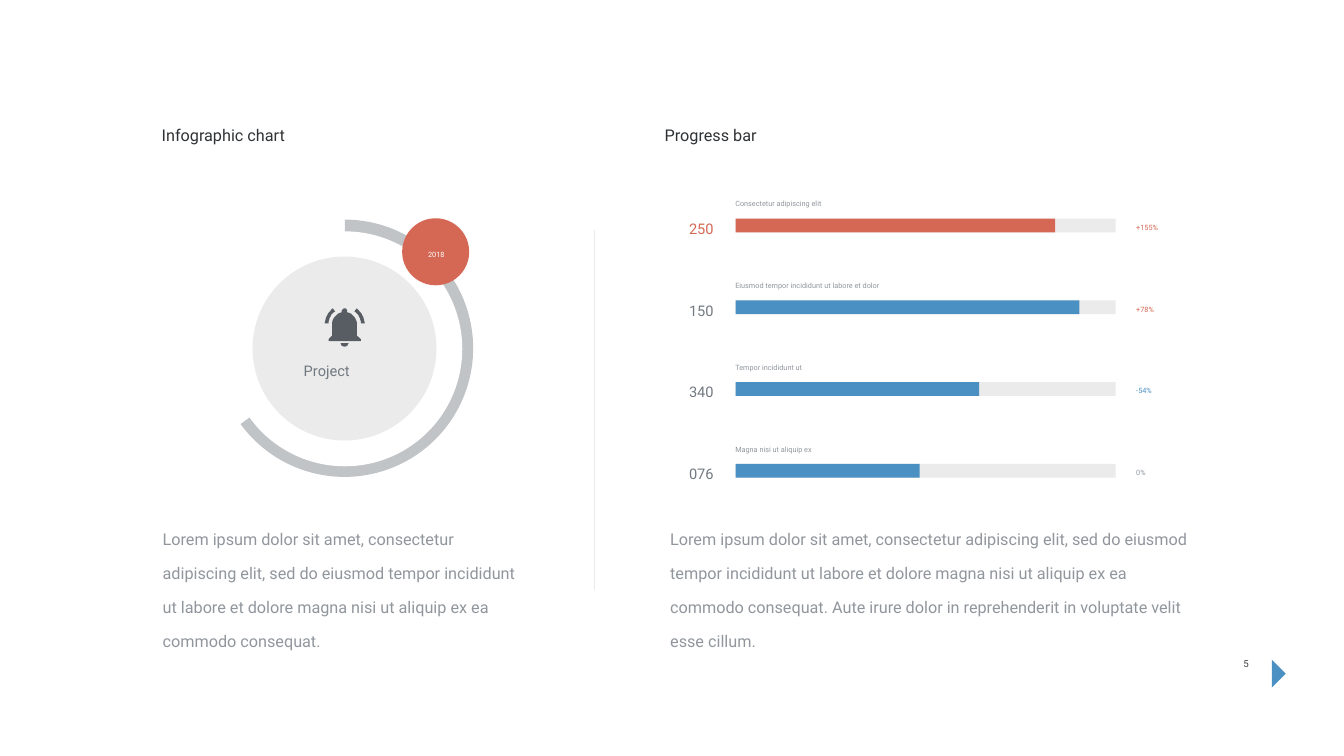
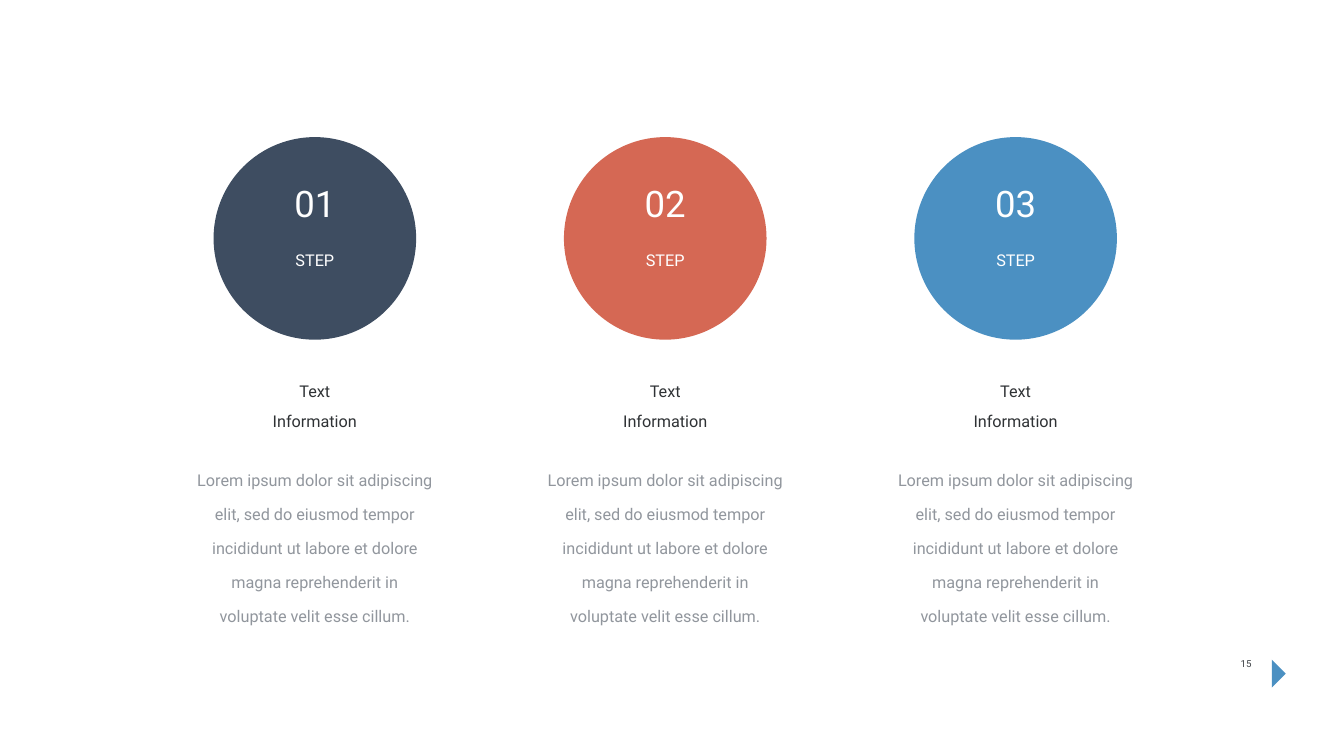
from dataclasses import dataclass

from lxml.etree import SubElement
from pptx import Presentation
from pptx.chart.data import CategoryChartData
from pptx.dml.color import RGBColor
from pptx.enum.chart import XL_CHART_TYPE
from pptx.enum.shapes import MSO_CONNECTOR, MSO_SHAPE
from pptx.enum.text import MSO_ANCHOR, MSO_AUTO_SIZE, PP_ALIGN
from pptx.oxml import parse_xml
from pptx.oxml.ns import nsdecls, qn
from pptx.util import Cm, Pt

FONT = "Roboto"
WHITE = RGBColor(0xFF, 0xFF, 0xFF)
INK = RGBColor(0x2F, 0x32, 0x35)
NUMBER_INK = RGBColor(0x3F, 0x43, 0x47)
GRAY = RGBColor(0x91, 0x96, 0x9D)
SLATE = RGBColor(0x71, 0x79, 0x81)
BELL_GRAY = RGBColor(0x58, 0x5D, 0x64)
RING = RGBColor(0xC1, 0xC4, 0xC7)
PALE = RGBColor(0xEB, 0xEB, 0xEB)
RED = RGBColor(0xD5, 0x68, 0x54)
BLUE = RGBColor(0x4B, 0x90, 0xC2)
NAVY = RGBColor(0x3E, 0x4D, 0x61)

BAR_LEFT, BAR_TOP, BAR_PITCH, TRACK_WIDTH, BAR_HEIGHT = 37.08, 11.02, 4.12, 19.15, 0.69
STEP_CENTER, STEP_PITCH, STEP_DIAMETER = 15.87, 17.66, 10.21


@dataclass(frozen=True)
class Box:
    left: float
    top: float
    width: float
    height: float

    def lengths(self) -> tuple:
        return Cm(self.left), Cm(self.top), Cm(self.width), Cm(self.height)


@dataclass(frozen=True)
class TextStyle:
    size: int
    color: RGBColor
    raised: int = 39
    spacing: float | None = None
    align: PP_ALIGN = PP_ALIGN.LEFT
    anchor: MSO_ANCHOR = MSO_ANCHOR.MIDDLE
    wrap: bool = True


@dataclass(frozen=True)
class Progress:
    value: str
    label: str
    change: str
    width: float
    value_color: RGBColor
    bar_color: RGBColor
    change_color: RGBColor


@dataclass(frozen=True)
class Step:
    number: str
    color: RGBColor


HEADING = TextStyle(40, INK, spacing=0.9, wrap=False)
STEP_HEADING = TextStyle(40, INK, spacing=0.9, align=PP_ALIGN.CENTER, wrap=False)
BODY = TextStyle(40, GRAY, 43, anchor=MSO_ANCHOR.TOP)
STEP_BODY = TextStyle(40, GRAY, 43, align=PP_ALIGN.CENTER, anchor=MSO_ANCHOR.TOP)
PAGE_NUMBER = TextStyle(24, NUMBER_INK, spacing=0.7, align=PP_ALIGN.CENTER, anchor=MSO_ANCHOR.TOP)
PROJECT = TextStyle(36, SLATE, 33, 0.7, wrap=False)
YEAR = TextStyle(18, WHITE, 67, 0.7, PP_ALIGN.CENTER)
STEP_NUMBER = TextStyle(90, WHITE, spacing=0.9, align=PP_ALIGN.CENTER)
STEP_WORD = TextStyle(40, WHITE, spacing=0.9, align=PP_ALIGN.CENTER)

BARS = [
    Progress("250", "Consectetur adipiscing elit", "+155%", 16.1, RED, RED, RED),
    Progress("150", "Eiusmod tempor incididunt ut labore et dolor", "+78%", 17.32, SLATE, BLUE, RED),
    Progress("340", "Tempor incididunt ut", "-54%", 12.27, SLATE, BLUE, BLUE),
    Progress("076", "Magna nisi ut aliquip ex", "0%", 9.27, SLATE, BLUE, GRAY),
]
STEPS = [Step("01", NAVY), Step("02", RED), Step("03", BLUE)]

LOREM = (
    "Lorem ipsum dolor sit amet, consectetur adipiscing elit, sed do eiusmod tempor "
    "incididunt ut labore et dolore magna nisi ut aliquip ex ea commodo consequat."
)
LOREM_MORE = " Aute irure dolor in reprehenderit in voluptate velit esse cillum."
STEP_LOREM = (
    "Lorem ipsum dolor sit adipiscing elit, sed do eiusmod tempor incididunt ut labore "
    "et dolore magna reprehenderit in voluptate velit esse cillum."
)

BELL_WIDTH = 80
WAVE = [(21, 6), (16, 0), (7, 8, 1, 19, 0, 30), (8, 30), (8, 20, 13, 11, 21, 6)]
BELL = [
    (64, 32), (64, 21, 57, 11, 45, 8), (45, 5), (45, 3, 43, 0, 40, 0),
    (37, 0, 34, 3, 34, 5), (34, 8), (23, 11, 15, 21, 15, 32), (15, 54),
    (8, 61), (8, 65), (72, 65), (72, 61), (64, 54),
]
CLAPPER = [(40, 76), (44, 76, 46, 73, 48, 69), (32, 69), (32, 73, 35, 76, 40, 76)]


def fill_text(sp, style: TextStyle, *lines: str) -> None:
    """Format a text shape and write one paragraph per line."""
    tf = sp.text_frame
    tf.word_wrap = style.wrap
    tf.auto_size = MSO_AUTO_SIZE.SHAPE_TO_FIT_TEXT
    tf.vertical_anchor = style.anchor
    tf.margin_left = tf.margin_top = tf.margin_right = tf.margin_bottom = Cm(0.15)
    for i, line in enumerate(lines):
        p = tf.add_paragraph() if i else tf.paragraphs[0]
        p.alignment = style.align
        p.space_before = Pt(0)
        if style.spacing:
            p.line_spacing = style.spacing
        r = p.add_run()
        r.text = line
        r.font.name = FONT
        r.font.size = Pt(style.size)
        r.font.color.rgb = style.color
        r._r.get_or_add_rPr().set("baseline", str(style.raised * 1000))


def add_text(s, box: Box, style: TextStyle, *lines: str) -> None:
    """Add a text box."""
    fill_text(s.shapes.add_textbox(*box.lengths()), style, *lines)


def paint(sp, color: RGBColor) -> None:
    """Give a shape a flat fill without outline or shadow."""
    sp.shadow.inherit = False
    sp.fill.solid()
    sp.fill.fore_color.rgb = color
    sp.line.fill.background()


def add_flat(s, kind: MSO_SHAPE, box: Box, color: RGBColor) -> None:
    """Add a flat preset shape."""
    paint(s.shapes.add_shape(kind, *box.lengths()), color)


def add_circle(s, left: float, top: float, diameter: float, color: RGBColor) -> None:
    """Add a flat circle."""
    add_flat(s, MSO_SHAPE.OVAL, Box(left, top, diameter, diameter), color)


def add_footer(s, number: str) -> None:
    """Add the page number and the arrow beside it."""
    builder = s.shapes.build_freeform(Cm(64.11), Cm(33.25))
    builder.add_line_segments([(Cm(64.8), Cm(33.95)), (Cm(64.11), Cm(34.65))], close=True)
    paint(builder.convert_to_shape(), BLUE)
    add_text(s, Box(61.52, 33.25, 2.57, 1.42), PAGE_NUMBER, number)


def flatten(outline: list[tuple], pieces: int = 8) -> list[tuple]:
    """Turn lines and cubic curves into a list of points."""
    points = [outline[0]]
    for part in outline[1:]:
        if len(part) == 2:
            points.append(part)
            continue
        x0, y0 = points[-1]
        x1, y1, x2, y2, x3, y3 = part
        for i in range(1, pieces + 1):
            t = i / pieces
            a, b, c, d = (1 - t) ** 3, 3 * t * (1 - t) ** 2, 3 * t * t * (1 - t), t ** 3
            points.append((a * x0 + b * x1 + c * x2 + d * x3, a * y0 + b * y1 + c * y2 + d * y3))
    return points


def add_bell(s) -> None:
    """Add the ringing bell icon."""
    wave = flatten(WAVE)
    mirrored = [(BELL_WIDTH - x, y) for x, y in wave]
    builder = s.shapes.build_freeform(*wave[0], scale=Cm(2.54) / 100)
    builder.add_line_segments(wave[1:], close=True)
    for contour in (mirrored, flatten(BELL), flatten(CLAPPER)):
        builder.move_to(*contour[0])
        builder.add_line_segments(contour[1:], close=True)
    paint(builder.convert_to_shape(Cm(16.36), Cm(15.54)), BELL_GRAY)


def add_ring(s) -> None:
    """Add the pie chart that forms the ring."""
    data = CategoryChartData()
    data.categories = ["1", "2"]
    data.add_series("Series 1", (65, 35))
    box = Box(10.8, 11, 13.13, 13.13)
    chart = s.shapes.add_chart(XL_CHART_TYPE.PIE, *box.lengths(), data).chart
    chart.has_title = chart.has_legend = False
    chart.font.name = FONT
    chart.font.size = Pt(10)
    chart.font.color.rgb = GRAY
    plot = chart.plots[0]
    plot.vary_by_categories = False
    series = plot.series[0]
    for part, color in ((series, RING), (series.points[0], RING), (series.points[1], WHITE)):
        part.format.fill.solid()
        part.format.fill.fore_color.rgb = color
        part.format.line.fill.background()
    area = chart._chartSpace.chart.plotArea
    for old in area.findall(qn("c:layout")):
        area.remove(old)
    area.insert(0, parse_xml(
        f'<c:layout {nsdecls("c")}><c:manualLayout><c:layoutTarget val="inner"/>'
        '<c:xMode val="edge"/><c:yMode val="edge"/><c:x val="0.005"/><c:y val="0.005"/>'
        '<c:w val="0.99"/><c:h val="0.988"/></c:manualLayout></c:layout>'
    ))


def add_divider(s) -> None:
    """Add the vertical rule between the two halves."""
    line = s.shapes.add_connector(MSO_CONNECTOR.STRAIGHT, Cm(29.95), Cm(29.74), Cm(29.95), Cm(11.58))
    line.line.color.rgb = PALE
    line.line.width = Pt(2)
    SubElement(line._element.spPr, qn("a:effectLst"))


def add_progress(s, top: float, bar: Progress) -> None:
    """Add one progress bar with its value, label and change."""
    add_flat(s, MSO_SHAPE.RECTANGLE, Box(BAR_LEFT, top, TRACK_WIDTH, BAR_HEIGHT), PALE)
    value_style = TextStyle(36, bar.value_color, 33, 0.7, PP_ALIGN.RIGHT)
    add_text(s, Box(31.29, top - 0.3, 4.83, 2.39), value_style, bar.value)
    add_text(s, Box(36.91, top - 1.14, 13.97, 1.55), TextStyle(18, GRAY, 67, 0.7), bar.label)
    add_text(s, Box(57.12, top + 0.05, 4.42, 1.55), TextStyle(18, bar.change_color, 67, 0.7), bar.change)
    add_flat(s, MSO_SHAPE.RECTANGLE, Box(BAR_LEFT, top, bar.width, BAR_HEIGHT), bar.bar_color)


def add_step(s, center: float, step: Step) -> None:
    """Add one step column around its centre line."""
    def centered(top: float, width: float, height: float) -> Box:
        return Box(center - width / 2, top, width, height)

    add_text(s, centered(23.57, 12.27, 7.11), STEP_BODY, STEP_LOREM)
    add_text(s, centered(18.95, 7.75, 3.84), STEP_HEADING, "Text", "Information")
    add_circle(s, center - STEP_DIAMETER / 2, 6.91, STEP_DIAMETER, step.color)
    add_text(s, centered(8.97, 7.44, 4.45), STEP_NUMBER, step.number)
    add_text(s, centered(12.42, 6.58, 2.16), STEP_WORD, "STEP")


def build_infographic(prs) -> None:
    """Build the slide with the ring chart and progress bars."""
    s = prs.slides.add_slide(prs.slide_layouts[5])
    title = s.shapes.title
    title.left, title.top, title.width, title.height = Box(8, 6.15, 11.23, 2.16).lengths()
    fill_text(title, HEADING, "Infographic chart")
    add_footer(s, "5")
    add_text(s, Box(8.05, 26.54, 18.62, 4.85), BODY, LOREM)
    add_divider(s)
    add_ring(s)
    add_circle(s, 11.46, 11.66, 11.84, WHITE)
    add_circle(s, 12.73, 12.93, 9.27, PALE)
    add_text(s, Box(15.16, 17.86, 4.42, 2.39), PROJECT, "Project")
    add_circle(s, 20.27, 11, 3.38, RED)
    add_bell(s)
    add_text(s, Box(20.98, 12.42, 2.03, 1.55), YEAR, "2018")
    add_text(s, Box(33.35, 6.15, 8.43, 2.16), HEADING, "Progress bar")
    for i, bar in enumerate(BARS):
        add_progress(s, BAR_TOP + i * BAR_PITCH, bar)
    add_text(s, Box(33.63, 26.54, 26.42, 4.85), BODY, LOREM + LOREM_MORE)


def build_steps(prs) -> None:
    """Build the slide with the three steps."""
    s = prs.slides.add_slide(prs.slide_layouts[6])
    add_footer(s, "15")
    for i, step in enumerate(STEPS):
        add_step(s, STEP_CENTER + i * STEP_PITCH, step)


def main() -> None:
    """Build and save the presentation."""
    prs = Presentation()
    prs.slide_width, prs.slide_height = Cm(67.74), Cm(38.1)
    build_infographic(prs)
    build_steps(prs)
    prs.save("out.pptx")


if __name__ == "__main__":
    main()
